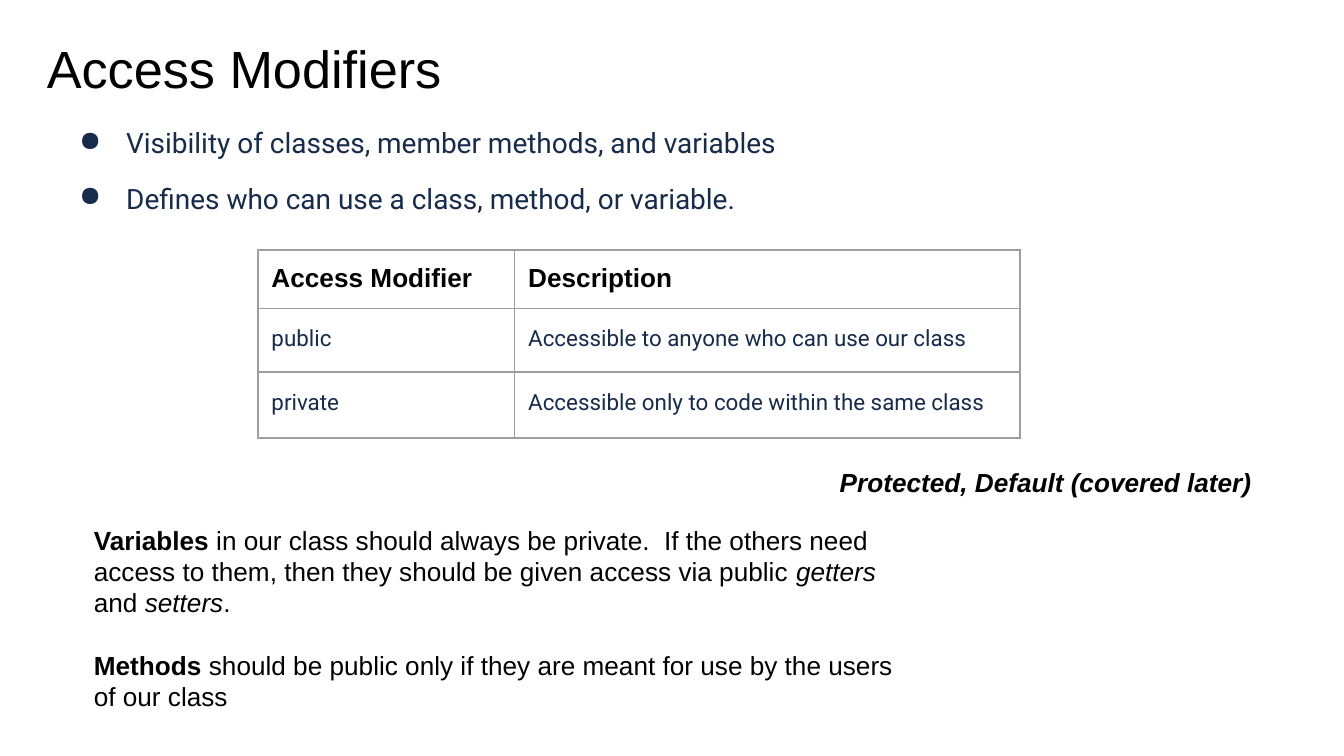
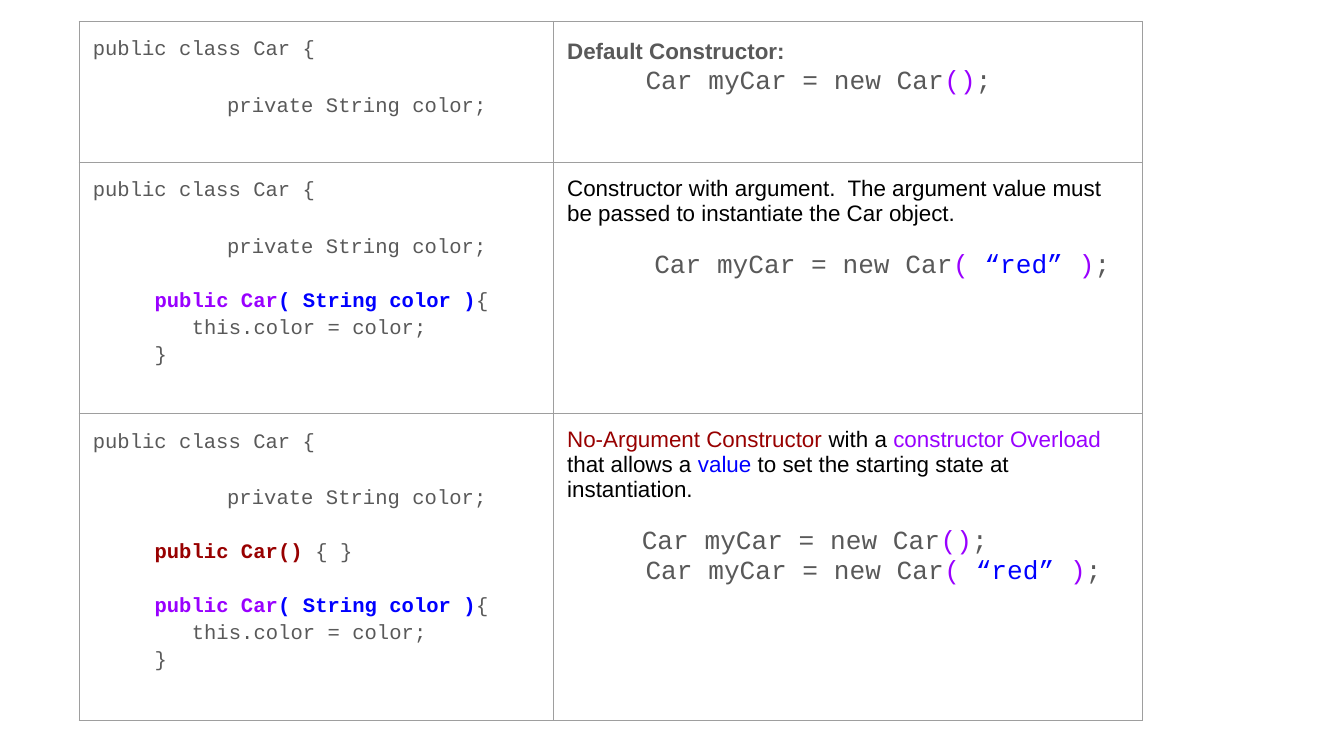
from dataclasses import dataclass
from typing import NamedTuple, Optional

from lxml import etree
from pptx import Presentation
from pptx.dml.color import RGBColor
from pptx.enum.text import MSO_ANCHOR
from pptx.oxml.ns import qn
from pptx.util import Inches, Pt

TOP = MSO_ANCHOR.TOP
BLANK_LAYOUT = 6
SLIDE_WIDTH = Inches(10)
SLIDE_HEIGHT = Inches(5.625)
COLUMN = SLIDE_WIDTH / 100
ROW = SLIDE_HEIGHT / 56.25
INSET = Inches(0.1)
BORDER_WIDTH = Pt(0.75)
BORDER_TAGS = ("a:lnL", "a:lnR", "a:lnT", "a:lnB")
LOOSE = 1.15

COLORS = {
    "black": "000000",
    "navy": "172B4D",
    "gray": "595959",
    "purple": "9900FF",
    "blue": "0000FF",
    "red": "980000",
    "border": "9E9E9E",
}


class Style(NamedTuple):
    font: str
    size: int
    color: str
    bold: bool = False
    italic: bool = False


TITLE = Style("Arial", 28, "black")
BULLET = Style("Roboto", 15, "navy")
HEADER = Style("Arial", 14, "black", bold=True)
ENTRY = Style("Roboto", 12, "navy")
BODY = Style("Arial", 14, "black")
NOTE = Style("Arial", 14, "black", bold=True, italic=True)
CODE = Style("Courier New", 11, "gray")
CALL = Style("Courier New", 14, "gray")
LABEL = Style("Arial", 12, "gray", bold=True)
REMARK = Style("Arial", 12, "black")


class Span(NamedTuple):
    text: str
    color: Optional[str] = None
    bold: Optional[bool] = None
    italic: Optional[bool] = None


@dataclass(frozen=True)
class Line:
    style: Style
    spans: tuple[Span, ...]
    indent: float = 0
    hanging: float = 0
    spacing: float = 1
    before: float = 0
    bullet: str = ""


@dataclass(frozen=True)
class Box:
    left: float
    top: float
    width: float
    height: float
    lines: tuple[Line, ...]


@dataclass(frozen=True)
class Grid:
    left: float
    top: float
    columns: tuple[float, ...]
    rows: tuple[float, ...]
    cells: tuple[tuple[tuple[Line, ...], ...], ...]


def columns(count: float) -> int:
    return round(count * COLUMN)


def rows(count: float) -> int:
    return round(count * ROW)


def color_of(name: str) -> RGBColor:
    return RGBColor.from_string(COLORS[name])


def add_color(parent, name: str) -> None:
    etree.SubElement(parent, qn("a:srgbClr"), val=COLORS[name])


def set_paragraph(paragraph, line: Line) -> None:
    paragraph.line_spacing = line.spacing
    paragraph.space_before = Pt(line.before)
    properties = paragraph._p.get_or_add_pPr()
    properties.set("marL", str(columns(line.indent)))
    properties.set("indent", str(-columns(line.hanging)))
    if line.bullet:
        add_color(etree.SubElement(properties, qn("a:buClr")), line.style.color)
        etree.SubElement(properties, qn("a:buChar"), char=line.bullet)
    font = paragraph.font
    font.name = line.style.font
    font.size = Pt(line.style.size)
    font.bold = line.style.bold
    font.italic = line.style.italic
    font.color.rgb = color_of(line.style.color)
    for span in line.spans:
        run = paragraph.add_run()
        run.text = span.text
        if span.color:
            run.font.color.rgb = color_of(span.color)
        if span.bold is not None:
            run.font.bold = span.bold
        if span.italic is not None:
            run.font.italic = span.italic


def fill_text(text_frame, lines: tuple[Line, ...]) -> None:
    text_frame.word_wrap = True
    for index, line in enumerate(lines):
        paragraph = text_frame.add_paragraph() if index else text_frame.paragraphs[0]
        set_paragraph(paragraph, line)


def set_margins(holder) -> None:
    holder.margin_left = holder.margin_right = INSET
    holder.margin_top = holder.margin_bottom = INSET
    holder.vertical_anchor = TOP


def add_box(slide, box: Box) -> None:
    shape = slide.shapes.add_textbox(
        columns(box.left), rows(box.top), columns(box.width), rows(box.height)
    )
    set_margins(shape.text_frame)
    fill_text(shape.text_frame, box.lines)


def set_borders(cell) -> None:
    properties = cell._tc.get_or_add_tcPr()
    for index, tag in enumerate(BORDER_TAGS):
        border = etree.Element(qn(tag), w=str(BORDER_WIDTH))
        add_color(etree.SubElement(border, qn("a:solidFill")), "border")
        properties.insert(index, border)


def add_grid(slide, grid: Grid) -> None:
    table = slide.shapes.add_table(
        len(grid.rows), len(grid.columns), columns(grid.left), rows(grid.top),
        columns(sum(grid.columns)), rows(sum(grid.rows)),
    ).table
    table.first_row = False
    table.horz_banding = False
    for table_column, width in zip(table.columns, grid.columns):
        table_column.width = columns(width)
    for row_index, (height, row_cells) in enumerate(zip(grid.rows, grid.cells)):
        table.rows[row_index].height = rows(height)
        for column_index, lines in enumerate(row_cells):
            cell = table.cell(row_index, column_index)
            set_margins(cell)
            cell.fill.background()
            set_borders(cell)
            fill_text(cell.text_frame, lines)


def plain(style: Style, text: str, **layout) -> Line:
    return Line(style, (Span(text),), **layout)


def bullet(text: str) -> Line:
    return plain(BULLET, text, indent=5, hanging=3.5, spacing=LOOSE, before=9, bullet="●")


def entry(text: str) -> tuple[Line, ...]:
    return (plain(ENTRY, text, spacing=LOOSE, before=8),)


def code(*spans: Span, indent: float = 0, before: float = 0) -> Line:
    return Line(CODE, spans, indent=indent, spacing=LOOSE, before=before)


def call(*arguments: Span, **layout) -> Line:
    return Line(CALL, (Span("Car myCar = new Car"), *arguments, Span(";")), **layout)


BLANK_CODE_LINE = 14.3
BLANK_REMARK_LINE = 13.5
MEMBER_INDENT = 4.6
EMPTY_ARGUMENTS = (Span("()", "purple"),)
RED_ARGUMENT = (Span("( ", "purple"), Span("“red” ", "blue"), Span(")", "purple"))

CLASS_START = (
    code(Span("public class Car {")),
    code(Span("private String color;"), indent=10, before=16),
)
EMPTY_CONSTRUCTOR = (
    code(Span("public Car()", "red", True), Span(" { }"),
         indent=MEMBER_INDENT, before=BLANK_CODE_LINE),
)
COLOR_CONSTRUCTOR = (
    code(Span("public Car", "purple", True), Span("( String color )", "blue", True),
         Span("{"), indent=MEMBER_INDENT, before=BLANK_CODE_LINE),
    code(Span("this.color = color;"), indent=7.37),
    code(Span("}"), indent=MEMBER_INDENT),
)

MODIFIER_BOXES = (
    Box(2.5, 1.7, 93.2, 6.3, (plain(TITLE, "Access Modifiers"),)),
    Box(3.4, 8, 93.2, 14.1, (
        bullet("Visibility of classes, member methods, and variables"),
        bullet("Defines who can use a class, method, or variable."),
    )),
    Box(6, 38, 62, 15, (
        Line(BODY, (
            Span("Variables ", bold=True),
            Span("in our class should always be private.  If the others need access "
                 "to them, then they should be given access via public "),
            Span("getters", italic=True),
            Span(" and "),
            Span("setters", italic=True),
            Span("."),
        )),
        Line(BODY, (
            Span("Methods ", bold=True),
            Span("should be public only if they are meant for use by the users of our class"),
        ), before=16.5),
    )),
    Box(61.5, 33.7, 36, 4.4, (plain(NOTE, "Protected, Default (covered later)"),)),
)

MODIFIER_GRID = Grid(19.2, 18.6, (19.1, 37.6), (4.15, 4.75, 4.9), (
    ((plain(HEADER, "Access Modifier"),), (plain(HEADER, "Description"),)),
    (entry("public"), entry("Accessible to anyone who can use our class")),
    (entry("private"), entry("Accessible only to code within the same class")),
))

CONSTRUCTOR_GRID = Grid(5.9, 1.6, (35.3, 43.8), (10.5, 18.7, 22.8), (
    (CLASS_START, (
        plain(LABEL, "Default Constructor:", spacing=LOOSE),
        call(*EMPTY_ARGUMENTS, indent=5.83, spacing=LOOSE),
    )),
    (CLASS_START + COLOR_CONSTRUCTOR, (
        plain(REMARK, "Constructor with argument.  The argument value must be passed "
                      "to instantiate the Car object."),
        call(*RED_ARGUMENT, indent=6.48, before=BLANK_REMARK_LINE),
    )),
    (CLASS_START + EMPTY_CONSTRUCTOR + COLOR_CONSTRUCTOR, (
        Line(REMARK, (
            Span("No-Argument Constructor", "red"),
            Span(" with a "),
            Span("constructor Overload", "purple"),
            Span(" that allows a "),
            Span("value ", "blue"),
            Span("to set the starting state at instantiation."),
        )),
        call(*EMPTY_ARGUMENTS, indent=5.55, before=BLANK_REMARK_LINE),
        call(*RED_ARGUMENT, indent=5.83),
    )),
))


def main() -> None:
    presentation = Presentation()
    presentation.slide_width = SLIDE_WIDTH
    presentation.slide_height = SLIDE_HEIGHT
    for boxes, grid in ((MODIFIER_BOXES, MODIFIER_GRID), ((), CONSTRUCTOR_GRID)):
        slide = presentation.slides.add_slide(presentation.slide_layouts[BLANK_LAYOUT])
        for box in boxes:
            add_box(slide, box)
        add_grid(slide, grid)
    presentation.save("out.pptx")


if __name__ == "__main__":
    main()
